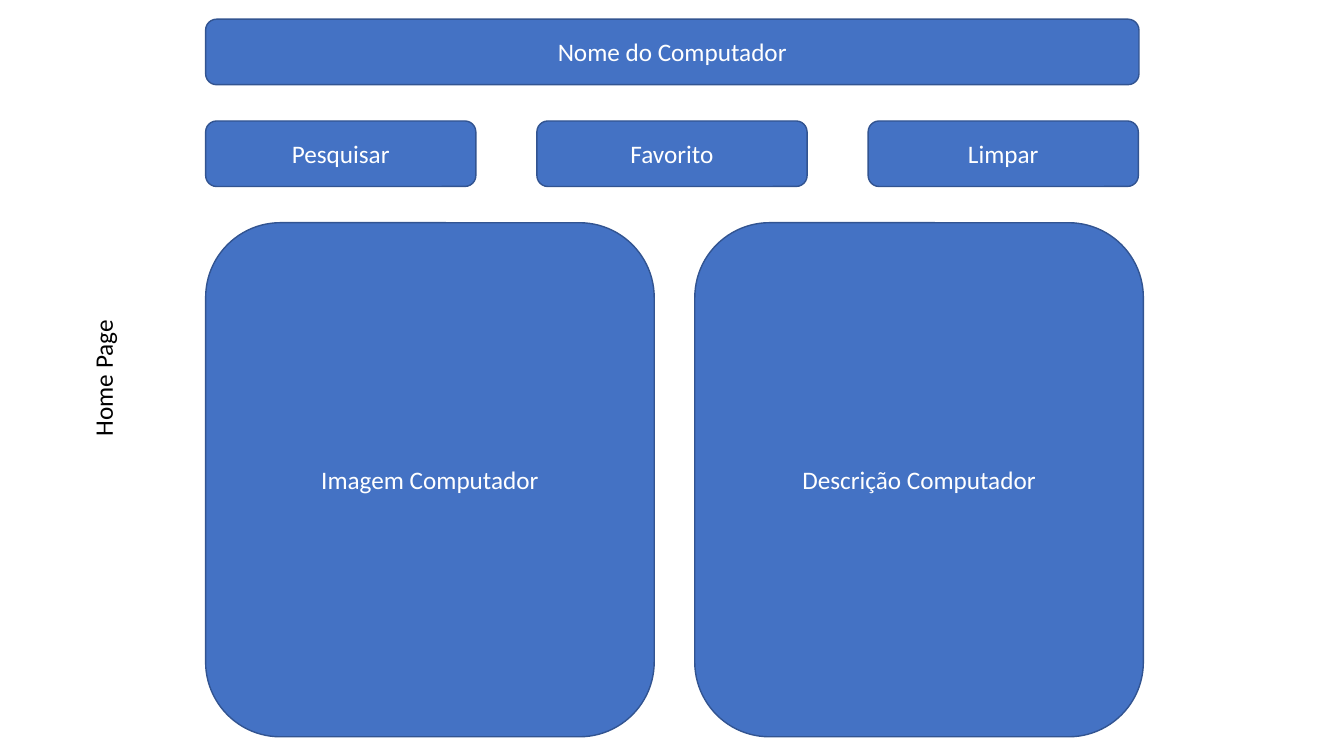
from dataclasses import dataclass

from pptx import Presentation
from pptx.dml.color import RGBColor
from pptx.enum import shapes, text
from pptx.util import Pt

FONT = "Calibri"
BLUE, DARK_BLUE, WHITE, BLACK = "4472C4", "325491", "FFFFFF", "000000"
LEFT = 146.9


@dataclass
class Row:
    """Equal boxes side by side; pitch is the step from one to the next."""
    labels: list[str]
    top: float
    width: float
    height: float
    pitch: float = 0


ROWS = [
    Row(["Nome do Computador"], 13.7, 666.7, 46.8),
    Row(["Pesquisar", "Favorito", "Limpar"], 86.4, 193, 46.8, 236.6),
    Row(["Imagem Computador", "Descrição Computador"], 159.1, 320.4, 367.2, 349.4),
]


def color(value: str) -> RGBColor:
    return RGBColor.from_string(value)


def write(shape, words: str, font_color: str) -> None:
    frame = shape.text_frame
    frame.word_wrap = True
    frame.auto_size = text.MSO_AUTO_SIZE.NONE
    frame.vertical_anchor = text.MSO_ANCHOR.MIDDLE
    paragraph = frame.paragraphs[0]
    paragraph.alignment = text.PP_ALIGN.CENTER
    paragraph.line_spacing = 1.0
    run = paragraph.add_run()
    run.text = words
    run.font.name = FONT
    run.font.size = Pt(18)
    run.font.color.rgb = color(font_color)


def draw_row(slide, row: Row) -> None:
    for index, label in enumerate(row.labels):
        shape = slide.shapes.add_shape(
            shapes.MSO_SHAPE.ROUNDED_RECTANGLE,
            Pt(LEFT + index * row.pitch), Pt(row.top), Pt(row.width), Pt(row.height))
        shape.shadow.inherit = False
        shape.fill.solid()
        shape.fill.fore_color.rgb = color(BLUE)
        shape.line.color.rgb = color(DARK_BLUE)
        shape.line.width = Pt(1)
        write(shape, label, WHITE)


def draw_title(slide, words: str) -> None:
    title = slide.shapes.title
    title.left, title.top = Pt(-72), Pt(255.6)
    title.width, title.height = Pt(290.9), Pt(29.1)
    title.rotation = 270
    write(title, words, BLACK)


presentation = Presentation()
presentation.slide_width, presentation.slide_height = Pt(960), Pt(540)
slide = presentation.slides.add_slide(presentation.slide_layouts.get_by_name("Title Only"))

# Page name, read upwards along the left edge
draw_title(slide, "Home Page")

# Header, buttons and content panels
for row in ROWS:
    draw_row(slide, row)

presentation.save("out.pptx")
